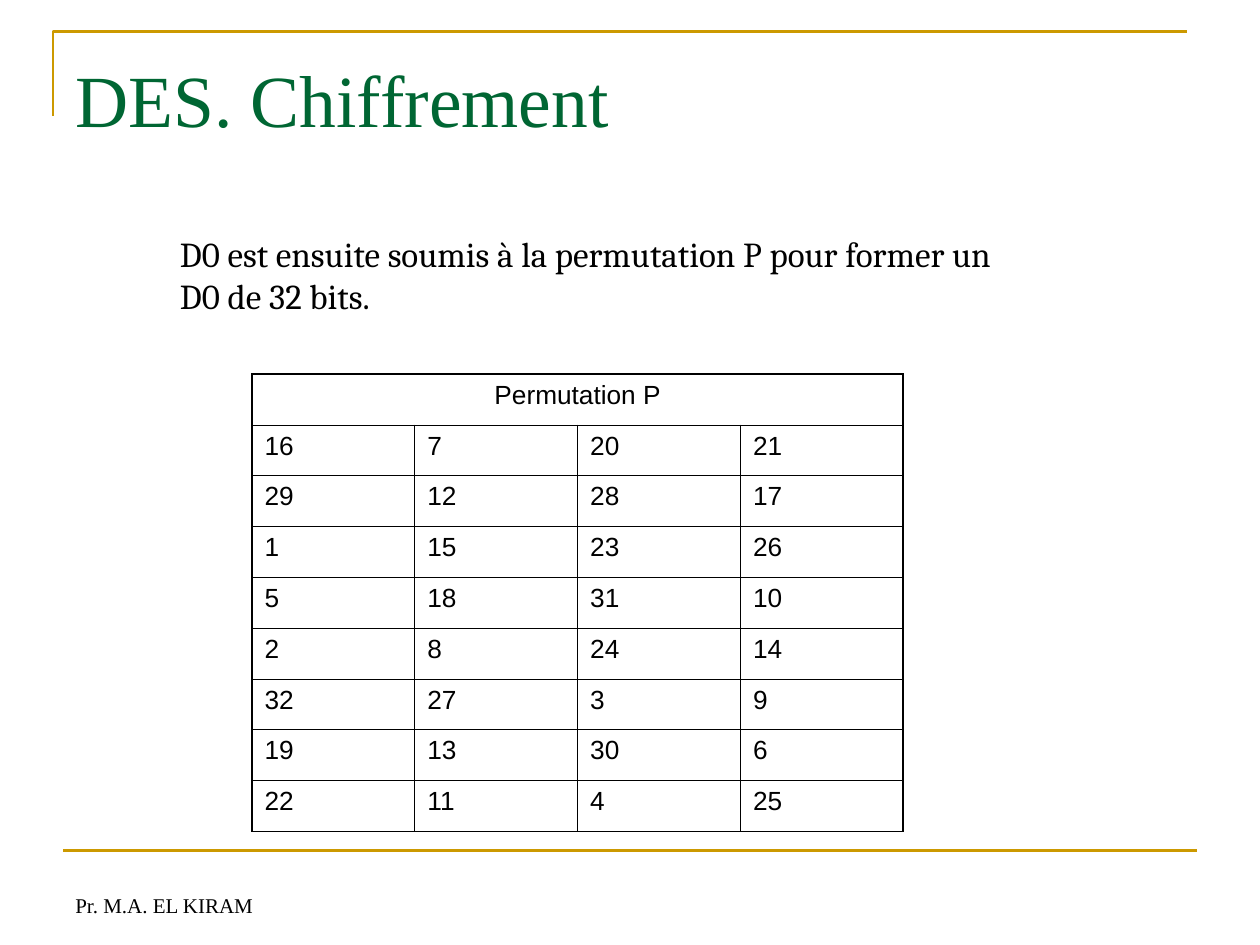
from lxml import etree
from pptx import Presentation
from pptx.dml.color import RGBColor
from pptx.enum.shapes import MSO_CONNECTOR
from pptx.enum.text import MSO_ANCHOR, PP_ALIGN
from pptx.oxml.ns import qn
from pptx.util import Inches, Pt

TOP, BOTTOM = MSO_ANCHOR.TOP, MSO_ANCHOR.BOTTOM
LEFT, CENTER = PP_ALIGN.LEFT, PP_ALIGN.CENTER
STRAIGHT = MSO_CONNECTOR.STRAIGHT

GOLD = RGBColor(0xCC, 0x99, 0x00)
GREEN = RGBColor(0x00, 0x66, 0x33)
BLACK = RGBColor(0x00, 0x00, 0x00)

WIDE, HIGH = Inches(10), Inches(7.5)
THIN, THICK = Pt(0.45), Pt(1.08)

TITLE = {"name": "Times New Roman", "size": Pt(42), "color": GREEN}
BODY = {"name": "Cambria", "size": Pt(20), "color": BLACK}
FOOT = {"name": "Times New Roman", "size": Pt(12), "color": BLACK}
CELL = {"name": "Arial", "size": Pt(15), "color": BLACK}

HEAD = "Permutation P"
PERM = [
    [16, 7, 20, 21],
    [29, 12, 28, 17],
    [1, 15, 23, 26],
    [5, 18, 31, 10],
    [2, 8, 24, 14],
    [32, 27, 3, 9],
    [19, 13, 30, 6],
    [22, 11, 4, 25],
]


def place(*shares):
    """Turn percentages of the slide, x and y in turn, into lengths."""
    return [int((HIGH if i % 2 else WIDE) * share / 100)
            for i, share in enumerate(shares)]


def write(frame, text, style, align=LEFT):
    para = frame.paragraphs[0]
    para.alignment = align
    run = para.add_run()
    run.text = text
    for key, value in style.items():
        if key == "color":
            run.font.color.rgb = value
        else:
            setattr(run.font, key, value)


def add_text(slide, box, text, style, anchor=TOP, inset=0.05):
    frame = slide.shapes.add_textbox(*place(*box)).text_frame
    frame.word_wrap = True
    frame.vertical_anchor = anchor
    frame.margin_top = Inches(inset)
    write(frame, text, style)


def ink(line):
    line.color.rgb = GOLD
    line.width = Pt(1.5)


def add_frame(slide):
    """Draw the corner above the title and the rule above the footer."""
    start, turn, end = (place(*p) for p in
                        [(4.2, 12.27), (4.2, 3.33), (94.2, 3.33)])
    pen = slide.shapes.build_freeform(*start)
    pen.add_line_segments([turn, end], close=False)
    corner = pen.convert_to_shape()
    corner.shadow.inherit = False
    corner.fill.background()
    ink(corner.line)

    rule = slide.shapes.add_connector(STRAIGHT, *place(5, 90, 95, 90))
    ink(rule.line)
    etree.SubElement(rule._element.spPr, qn("a:effectLst"))


def edge(cell, outer):
    """Border a cell; outer tells which of its sides are on the rim."""
    props = cell._tc.get_or_add_tcPr()
    for side, rim in outer.items():
        line = etree.SubElement(props, qn(f"a:ln{side}"),
                                w=str(int(THICK if rim else THIN)))
        fill = etree.SubElement(line, qn("a:solidFill"))
        etree.SubElement(fill, qn("a:srgbClr"), val=str(BLACK))


def add_grid(slide, box):
    rows, cols = len(PERM) + 1, len(PERM[0])
    grid = slide.shapes.add_table(rows, cols, *place(*box)).table
    grid.first_row = grid.horz_banding = False
    grid.cell(0, 0).merge(grid.cell(0, cols - 1))
    for r in range(rows):
        for c in range(cols):
            cell = grid.cell(r, c)
            edge(cell, {"L": c == 0, "R": r == 0 or c == cols - 1,
                        "T": r == 0, "B": r == rows - 1})
            cell.fill.background()
            if r:
                write(cell.text_frame, str(PERM[r - 1][c]), CELL)
    write(grid.cell(0, 0).text_frame, HEAD, CELL, CENTER)


def main():
    deck = Presentation()
    deck.slide_width, deck.slide_height = WIDE, HIGH
    slide = deck.slides.add_slide(deck.slide_layouts[6])
    add_frame(slide)
    add_text(slide, (5, 91.07, 23.3, 6.67), "Pr. M.A. EL KIRAM", FOOT, BOTTOM)
    add_text(slide, (5, 4, 90, 16.67), "DES. Chiffrement", TITLE, inset=0.13)
    add_text(slide, (13.3, 24, 70.1, 10.27),
             "D0 est ensuite soumis à la permutation P pour former un "
             "D0 de 32 bits.", BODY)
    add_grid(slide, (20, 39.6, 51.7, 48.4))
    deck.save("out.pptx")


if __name__ == "__main__":
    main()
